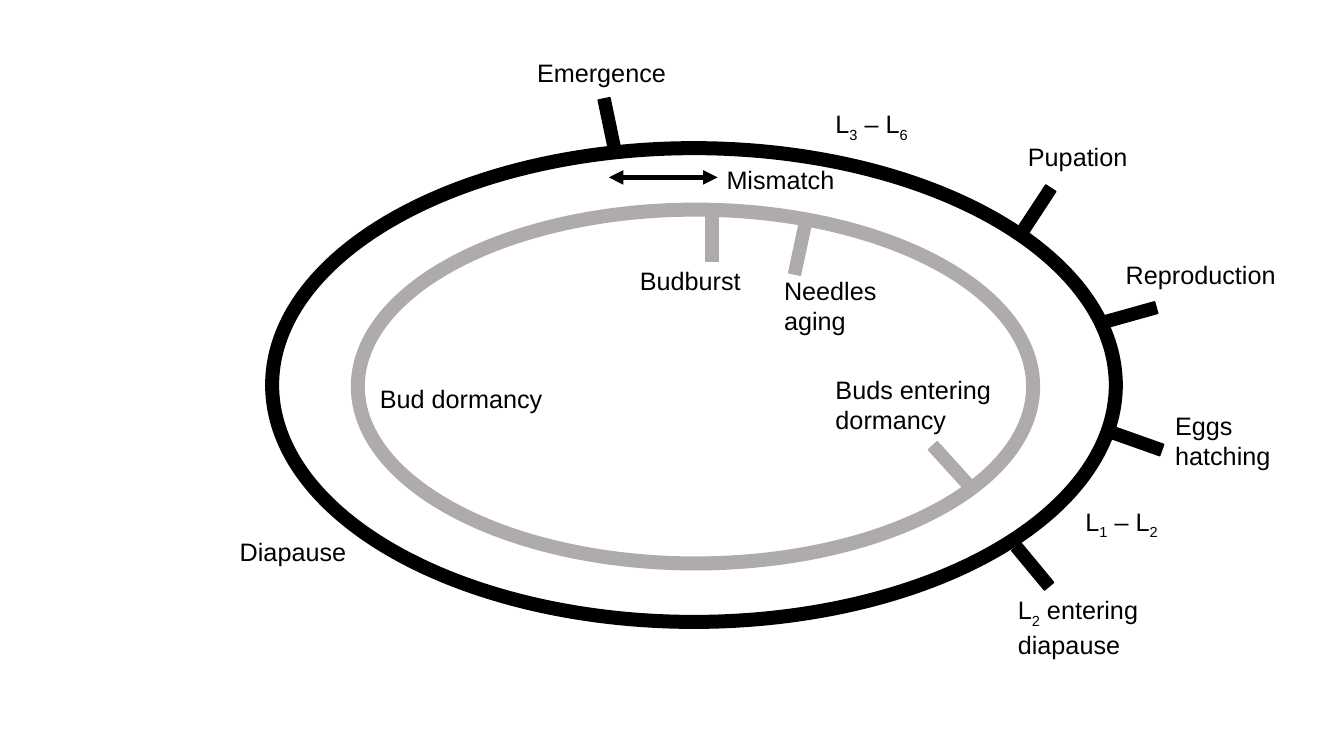
from pptx import Presentation
from pptx.dml.color import RGBColor
from pptx.enum.shapes import MSO_CONNECTOR as CONN, MSO_SHAPE as SHAPE
from pptx.enum.text import MSO_AUTO_SIZE as FIT
from pptx.oxml.ns import qn
from pptx.util import Pt
from lxml.etree import SubElement

BLACK = RGBColor(0x00, 0x00, 0x00)
GREY = RGBColor(0xAF, 0xAB, 0xAB)
FONT = "Arial"
TICK_W, TICK_H = 36.72, 8.64
LINE_H, TWO_LINE_H = 29, 51

INSECT_BOX = (194.4, 105.84, 602.64, 338.4)
INSECT_TICKS = [
    (240.84, -17.28, 78.2),
    (546.12, 43.92, 123.3),
    (613.8, 118.8, 164.4),
    (618.12, 209.52, 199.5),
    (543.24, 298.8, 230.3),
]
INSECT_LABELS = [
    ("Emergence", 182.16, -68.4, 117, LINE_H),
    ("L_3 – L_6", 395.28, -31.68, 117, LINE_H),
    ("Pupation", 532.8, -8.64, 117, LINE_H),
    ("Reproduction", 602.64, 75.6, 130, LINE_H),
    ("Eggs hatching", 637.92, 183.6, 95, TWO_LINE_H),
    ("L_1 – L_2", 573.84, 252, 117, LINE_H),
    ("L_2 entering diapause", 525.6, 315.36, 117, TWO_LINE_H),
    ("Diapause", -30.24, 273.6, 132, LINE_H),
]

TREE_BOX = (255.6, 149.76, 482.4, 252.72)
TREE_TICKS = [
    (253.08, 18.72, 90),
    (315.72, 28.08, 102),
    (423, 182.16, 227.8),
]
TREE_LABELS = [
    ("Budburst", 194.4, 36, 88, LINE_H),
    ("Needles aging", 297.36, 43.2, 88, TWO_LINE_H),
    ("Buds entering dormancy", 334.08, 113.76, 132, TWO_LINE_H),
    ("Bud dormancy", 8.64, 120.24, 132, LINE_H),
]

MISMATCH_BOX = (434.88, 113.76, 209, LINE_H)


def add_label(s, text, x, y, w, h):
    tf = s.shapes.add_textbox(Pt(x), Pt(y), Pt(w), Pt(h)).text_frame
    tf.word_wrap = True
    tf.auto_size = FIT.SHAPE_TO_FIT_TEXT
    p = tf.paragraphs[0]
    first, *rest = text.split("_")
    pieces = [(first, False)]
    for part in rest:
        pieces += [(part[0], True), (part[1:], False)]
    for piece, is_sub in pieces:
        if not piece:
            continue
        r = p.add_run()
        r.text = piece
        r.font.name = FONT
        r.font.size = Pt(18)
        r.font.color.rgb = BLACK
        if is_sub:
            r.font._element.set("baseline", "-25000")


def add_tick(s, cx, cy, angle, color):
    sp = s.shapes.add_shape(SHAPE.RECTANGLE, Pt(cx - TICK_W / 2),
                            Pt(cy - TICK_H / 2), Pt(TICK_W), Pt(TICK_H))
    sp.rotation = angle
    sp.shadow.inherit = False
    sp.fill.solid()
    sp.fill.fore_color.rgb = color
    sp.line.color.rgb = color
    sp.line.width = Pt(1)


def draw_cycle(s, box, color, ticks, labels):
    x, y, w, h = box
    ring = s.shapes.add_shape(SHAPE.OVAL, Pt(x), Pt(y), Pt(w), Pt(h))
    ring.shadow.inherit = False
    ring.fill.background()
    ring.line.color.rgb = color
    ring.line.width = Pt(10)
    for dx, dy, angle in ticks:
        add_tick(s, x + dx, y + dy, angle, color)
    for text, dx, dy, lw, lh in labels:
        add_label(s, text, x + dx, y + dy, lw, lh)


def draw_mismatch(s, box):
    x, y, w, h = box
    arrow_w, arrow_y = 77.76, y + 12.96
    arrow = s.shapes.add_connector(CONN.STRAIGHT, Pt(x), Pt(arrow_y),
                                   Pt(x + arrow_w), Pt(arrow_y))
    arrow.line.color.rgb = BLACK
    arrow.line.width = Pt(3.5)
    ln = arrow.line._get_or_add_ln()
    for end in ("a:headEnd", "a:tailEnd"):
        SubElement(ln, qn(end)).set("type", "triangle")
    SubElement(arrow._element.spPr, qn("a:effectLst"))
    add_label(s, "Mismatch", x + arrow_w - 0.72, y, w - arrow_w, h)


def main():
    prs = Presentation()
    prs.slide_width, prs.slide_height = Pt(960), Pt(540)
    s = prs.slides.add_slide(prs.slide_layouts[6])
    draw_cycle(s, INSECT_BOX, BLACK, INSECT_TICKS, INSECT_LABELS)
    draw_cycle(s, TREE_BOX, GREY, TREE_TICKS, TREE_LABELS)
    draw_mismatch(s, MISMATCH_BOX)
    prs.save("out.pptx")


if __name__ == "__main__":
    main()
